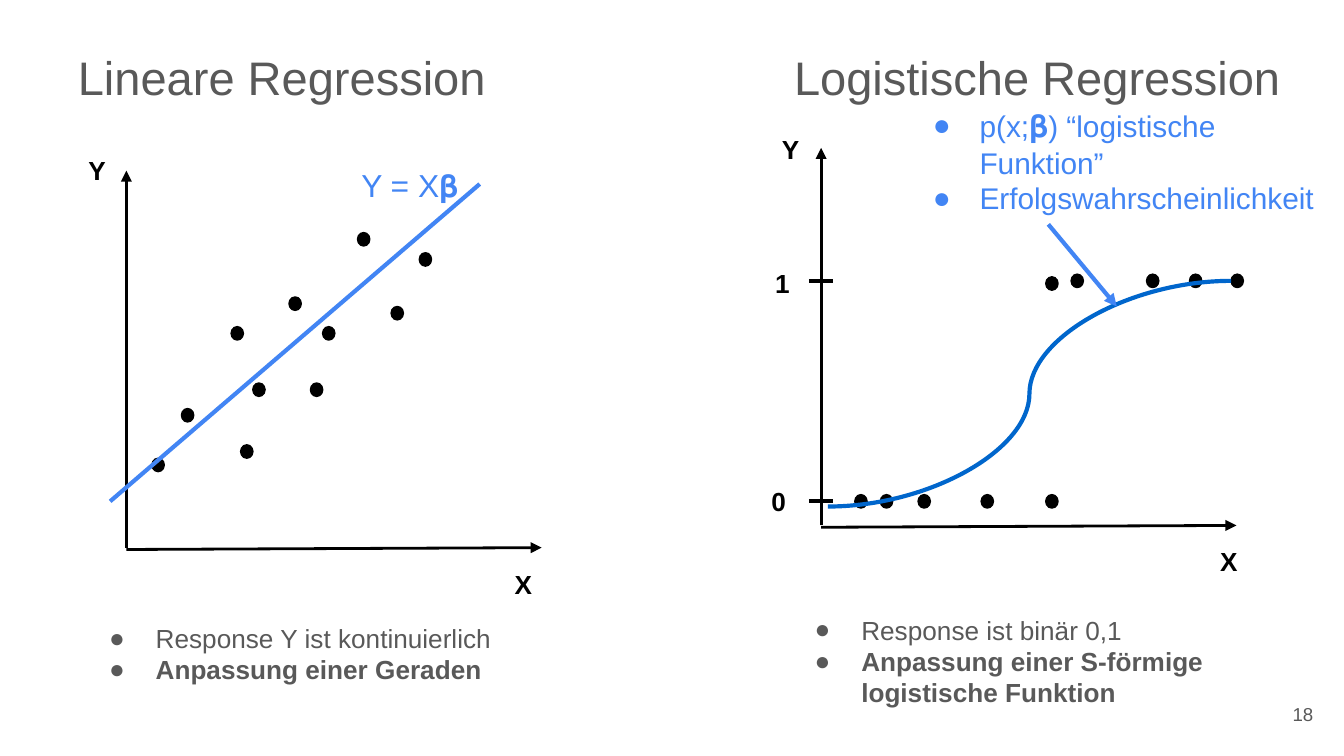
from dataclasses import dataclass

from pptx import Presentation
from pptx.dml.color import RGBColor
from pptx.enum.shapes import MSO_CONNECTOR as Link, MSO_SHAPE as Preset
from pptx.enum.text import MSO_ANCHOR as Anchor, PP_ALIGN as Align
from pptx.oxml.ns import qn
from pptx.slide import Slide
from pptx.text.text import _Paragraph as Paragraph
from pptx.util import Pt
from lxml.etree import SubElement

BLACK = RGBColor(0x00, 0x00, 0x00)
GRAY = RGBColor(0x59, 0x59, 0x59)
BLUE = RGBColor(0x42, 0x85, 0xF4)
CURVE_BLUE = RGBColor(0x00, 0x66, 0xCC)
FONT = "Arial"
INSET = 7.2
DOT_WIDTH, DOT_HEIGHT = 6.6, 7.2


@dataclass(frozen=True)
class Run:
    text: str
    size: float
    color: RGBColor
    bold: bool = False


@dataclass(frozen=True)
class TextBlock:
    left: float
    top: float
    width: float
    height: float
    paragraphs: list[list[Run]]
    bulleted: bool = False
    align: Align = Align.LEFT
    anchor: Anchor = Anchor.TOP


@dataclass(frozen=True)
class Stroke:
    start: tuple[float, float]
    end: tuple[float, float]
    color: RGBColor = BLACK
    width: float = 2.25
    arrow: bool = False
    kind: Link = Link.STRAIGHT


def add_bullet(paragraph: Paragraph, color: RGBColor) -> None:
    properties = paragraph._p.get_or_add_pPr()
    properties.set("marL", str(Pt(36)))
    properties.set("indent", str(-Pt(25)))
    fill = SubElement(properties, qn("a:buClr"))
    SubElement(fill, qn("a:srgbClr"), val=str(color))
    SubElement(properties, qn("a:buFont"), typeface=FONT)
    SubElement(properties, qn("a:buChar"), char="●")


def draw_text(slide: Slide, block: TextBlock) -> None:
    box = slide.shapes.add_textbox(
        Pt(block.left), Pt(block.top), Pt(block.width), Pt(block.height))
    frame = box.text_frame
    frame.word_wrap = True
    frame.vertical_anchor = block.anchor
    frame.margin_left = frame.margin_right = Pt(INSET)
    frame.margin_top = frame.margin_bottom = Pt(INSET)
    for index, runs in enumerate(block.paragraphs):
        paragraph = frame.add_paragraph() if index else frame.paragraphs[0]
        paragraph.alignment = block.align
        if block.bulleted:
            add_bullet(paragraph, runs[0].color)
        for part in runs:
            run = paragraph.add_run()
            run.text = part.text
            run.font.name = FONT
            run.font.size = Pt(part.size)
            run.font.bold = part.bold
            run.font.color.rgb = part.color


def draw_stroke(slide: Slide, stroke: Stroke) -> None:
    line = slide.shapes.add_connector(
        stroke.kind, *(Pt(value) for value in stroke.start + stroke.end))
    line.line.color.rgb = stroke.color
    line.line.width = Pt(stroke.width)
    if stroke.arrow:
        SubElement(line.line._get_or_add_ln(), qn("a:tailEnd"), type="triangle")
    SubElement(line._element.spPr, qn("a:effectLst"))


def draw_dots(slide: Slide, positions: list[tuple[float, float]]) -> None:
    for left, top in positions:
        dot = slide.shapes.add_shape(
            Preset.FLOWCHART_CONNECTOR, Pt(left), Pt(top), Pt(DOT_WIDTH), Pt(DOT_HEIGHT))
        dot.shadow.inherit = False
        dot.fill.solid()
        dot.fill.fore_color.rgb = BLACK
        dot.line.color.rgb = BLACK
        dot.line.width = Pt(0.75)


def draw_axes(slide: Slide, left: float, top: float, bottom: float) -> None:
    draw_stroke(slide, Stroke((left, bottom), (left, top), width=1.5, arrow=True))
    draw_stroke(slide, Stroke((left, bottom + 1), (left + 222.5, bottom),
                              width=1.5, arrow=True))


def draw_label(slide: Slide, text: str, left: float, top: float) -> None:
    draw_text(slide, TextBlock(left, top, 25.2, 31.7, [[Run(text, 14, BLACK, True)]]))


def draw_title(slide: Slide, text: str, left: float) -> None:
    draw_text(slide, TextBlock(left, 18.7, 283, 45.4, [[Run(text, 25.2, GRAY)]]))


def draw_summary(slide: Slide, left: float, top: float, width: float, height: float,
                 response: str, fit: str) -> None:
    lines = [[Run(response, 14, GRAY)], [Run(fit, 14, GRAY, True)]]
    draw_text(slide, TextBlock(left, top, width, height, lines, bulleted=True))


def draw_logistic(slide: Slide) -> None:
    success_y, failure_y = 146.9, 265
    draw_dots(slide, [(560.2, 148.3)])
    draw_dots(slide, [(x, success_y) for x in (573.8, 614.2, 637.2, 659.5)])
    draw_dots(slide, [(x, failure_y) for x in (457.9, 471.6, 491.8, 525.6, 560.2)])
    draw_axes(slide, 439.9, 79.2, 281.5)
    draw_label(slide, "X", 646.6, 285.1)
    draw_label(slide, "Y", 411.8, 64.1)
    for tick_y in (150.5, 268.6):
        draw_stroke(slide, Stroke((433.4, tick_y), (446.4, tick_y)))
    draw_label(slide, "0", 406.1, 252.7)
    draw_label(slide, "1", 408.2, 136.1)
    draw_stroke(slide, Stroke((443.5, 271.4), (659.5, 150.5), CURVE_BLUE, kind=Link.CURVE))
    draw_summary(slide, 418.3, 321.8, 274.3, 65.5, "Response ist binär 0,1",
                 "Anpassung einer S-förmige logistische Funktion")
    draw_text(slide, TextBlock(481.7, 49.7, 238.3, 74.2, [
        [Run("p(x;", 16, BLUE), Run("𝛃", 17, BLUE), Run(") “logistische Funktion”", 16, BLUE)],
        [Run("Erfolgswahrscheinlichkeit", 16, BLUE)],
    ], bulleted=True))
    draw_stroke(slide, Stroke((561.6, 120.2), (598.3, 164.2), BLUE, arrow=True))


def draw_linear(slide: Slide) -> None:
    draw_axes(slide, 67.7, 91.4, 293.4)
    draw_dots(slide, [
        (81.4, 245.5), (97.2, 218.9), (123.8, 175), (128.9, 238.3),
        (135.4, 205.2), (154.8, 159.1), (166.3, 205.2), (172.8, 175),
        (191.5, 124.6), (209.5, 164.2), (224.6, 135.4),
    ])
    draw_stroke(slide, Stroke((257, 98.6), (59, 268.6), BLUE))
    draw_label(slide, "X", 268.6, 297.4)
    draw_label(slide, "Y", 40.3, 75.6)
    draw_text(slide, TextBlock(186.5, 81.4, 67, 35.3, [[Run("Y = X𝛃", 17, BLUE)]]))
    draw_summary(slide, 40.3, 326.2, 313.2, 48.2, "Response Y ist kontinuierlich",
                 "Anpassung einer Geraden")


def main() -> None:
    deck = Presentation()
    deck.slide_width, deck.slide_height = Pt(720), Pt(405)
    slide = deck.slides.add_slide(deck.slide_layouts[6])
    draw_title(slide, "Lineare Regression", 34.6)
    draw_logistic(slide)
    draw_linear(slide)
    draw_title(slide, "Logistische Regression", 418.3)
    draw_text(slide, TextBlock(667.4, 367.2, 43.2, 31, [[Run("18", 10, GRAY)]],
                               align=Align.RIGHT, anchor=Anchor.MIDDLE))
    deck.save("out.pptx")


if __name__ == "__main__":
    main()
